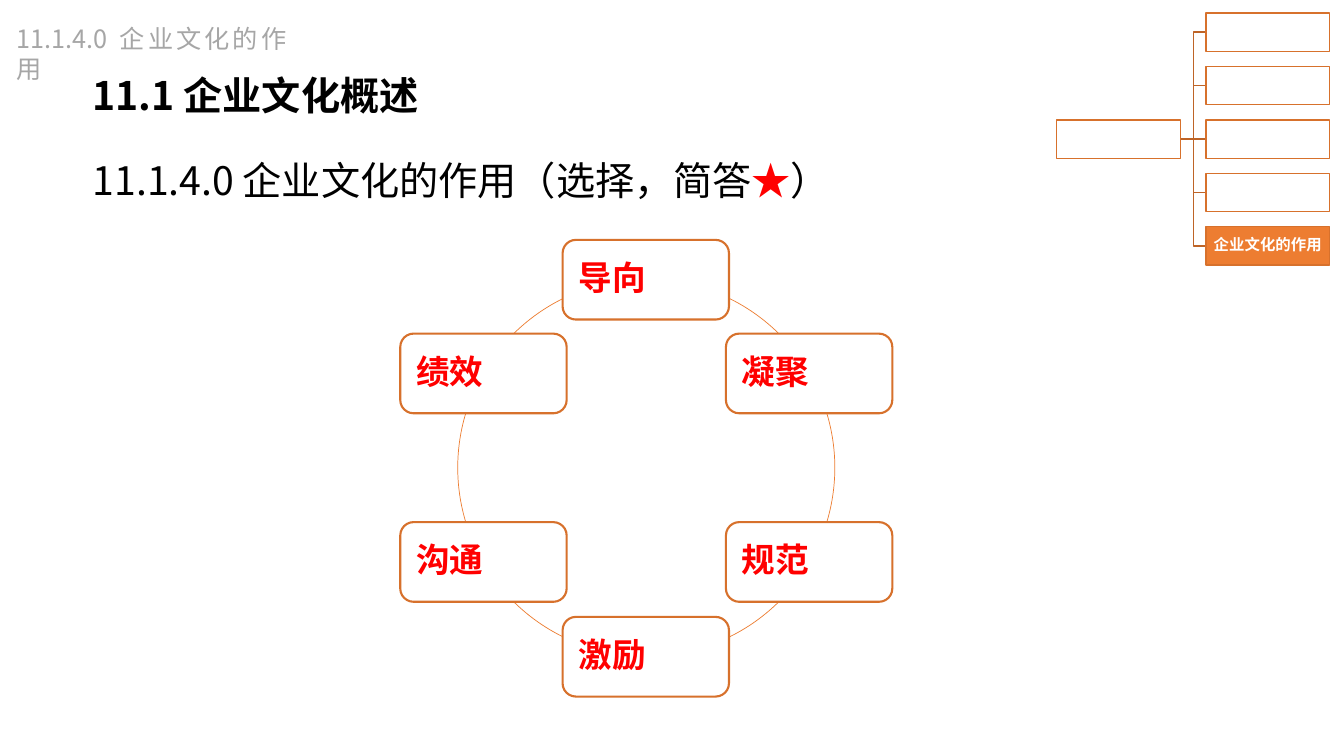
import math
from lxml import etree
from pptx import Presentation
from pptx import util as u
from pptx.dml.color import RGBColor
from pptx.enum import shapes, text
from pptx.oxml.ns import qn

PX = 9144  # EMU per px, 100 px to the inch
SANS, NODE = "Noto Sans CJK SC", "Noto Sans CJK JP"
EDGE, ORANGE, WHITE, RED = "D7712C", "ED7D31", "FFFFFF", "FF0000"
BOX, ALIGN, ANCHOR = shapes.MSO_SHAPE, text.PP_ALIGN, text.MSO_ANCHOR


def rgb(code):
    return RGBColor.from_string(code)


def write(shape, runs, size, font=SANS, bold=False, align=ALIGN.LEFT,
          anchor=ANCHOR.TOP, inset=(12, 6), gap=1.0):
    """Fill a shape with one paragraph of (words, colour) runs."""
    frame = shape.text_frame
    frame.word_wrap = True
    frame.vertical_anchor = anchor
    frame.margin_left = frame.margin_right = inset[0] * PX
    frame.margin_top = frame.margin_bottom = inset[1] * PX
    para = frame.paragraphs[0]
    para.alignment, para.line_spacing = align, gap
    for words, color in runs:
        run = para.add_run()
        run.text = words
        run.font.size, run.font.bold = u.Pt(size), bold
        run.font.name, run.font.color.rgb = font, rgb(color)
        east = etree.SubElement(run.font._element, qn("a:ea"))
        east.set("typeface", font)


deck = Presentation()
deck.slide_width, deck.slide_height = 1333 * PX, 750 * PX
slide = deck.slides.add_slide(deck.slide_layouts[6])
draw = slide.shapes

# Headings
head = draw.add_textbox(80 * PX, 65 * PX, 1145 * PX, 59 * PX)
write(head, [("11.1 企业文化概述", "000000")], 28, bold=True)
crumb = draw.add_textbox(7 * PX, 18 * PX, 287 * PX, 40 * PX)
write(crumb, [("11.1.4.0 企业文化的作用", "A6A6A6")], 18,
      align=ALIGN.JUSTIFY, inset=(10, 5))
topic = draw.add_textbox(80 * PX, 115 * PX, 1216 * PX, 104 * PX)
write(topic, [("11.1.4.0 企业文化的作用（选择，简答", "000000"), ("★", RED),
              ("）", "000000")], 28, anchor=ANCHOR.MIDDLE, gap=1.5)

# Ring of six roles, clockwise from the top
mid_x, mid_y, rad = 641, 464, 187
ring = draw.add_shape(BOX.OVAL, (mid_x - rad) * PX, (mid_y - rad) * PX,
                      2 * rad * PX, 2 * rad * PX)
ring.shadow.inherit = False
ring.fill.background()
ring.line.color.rgb, ring.line.width = rgb(ORANGE), u.Pt(0.5)

roles = ["导向", "凝聚", "规范", "激励", "沟通", "绩效"]
wide, high = 165, 79
for i, role in enumerate(roles):
    turn = 2 * math.pi * i / len(roles)
    left = round(mid_x + rad * math.sin(turn) - wide / 2)
    top = round(mid_y - rad * math.cos(turn) - high / 2)
    node = draw.add_shape(BOX.ROUNDED_RECTANGLE, left * PX, top * PX,
                          wide * PX, high * PX)
    node.shadow.inherit = False
    node.fill.solid()
    node.fill.fore_color.rgb = rgb(WHITE)
    node.line.color.rgb, node.line.width = rgb(EDGE), u.Pt(1.5)
    write(node, [(role, RED)], 24, font=NODE, bold=True,
          anchor=ANCHOR.MIDDLE, inset=(12, 4), gap=0.9)

# Chapter tree: one root, five topics, the last one current
cell_w, cell_h, step = 123, 38, 53
root_x, leaf_x, first_y = 1048, 1196, 13
root_y = first_y + 2 * step
tops = [first_y + step * i for i in range(5)]
for top in tops:
    kind = shapes.MSO_CONNECTOR.ELBOW
    if top == root_y:
        kind = shapes.MSO_CONNECTOR.STRAIGHT
    link = draw.add_connector(kind, (root_x + cell_w) * PX,
                              (root_y + cell_h // 2) * PX,
                              leaf_x * PX, (top + cell_h // 2) * PX)
    link.line.color.rgb, link.line.width = rgb("BE6427"), u.Pt(1)
    etree.SubElement(link._element.spPr, qn("a:effectLst"))

for left, top in [(root_x, root_y)] + [(leaf_x, top) for top in tops]:
    cell = draw.add_shape(BOX.RECTANGLE, left * PX, top * PX,
                          cell_w * PX, cell_h * PX)
    now = top == tops[-1]
    cell.shadow.inherit = False
    cell.fill.solid()
    cell.fill.fore_color.rgb = rgb(ORANGE if now else WHITE)
    cell.line.color.rgb, cell.line.width = rgb(EDGE), u.Pt(1)
    if now:
        write(cell, [("企业文化的作用", WHITE)], 11, bold=True,
              align=ALIGN.CENTER, anchor=ANCHOR.MIDDLE, inset=(1, 1), gap=0.9)

deck.save("out.pptx")
